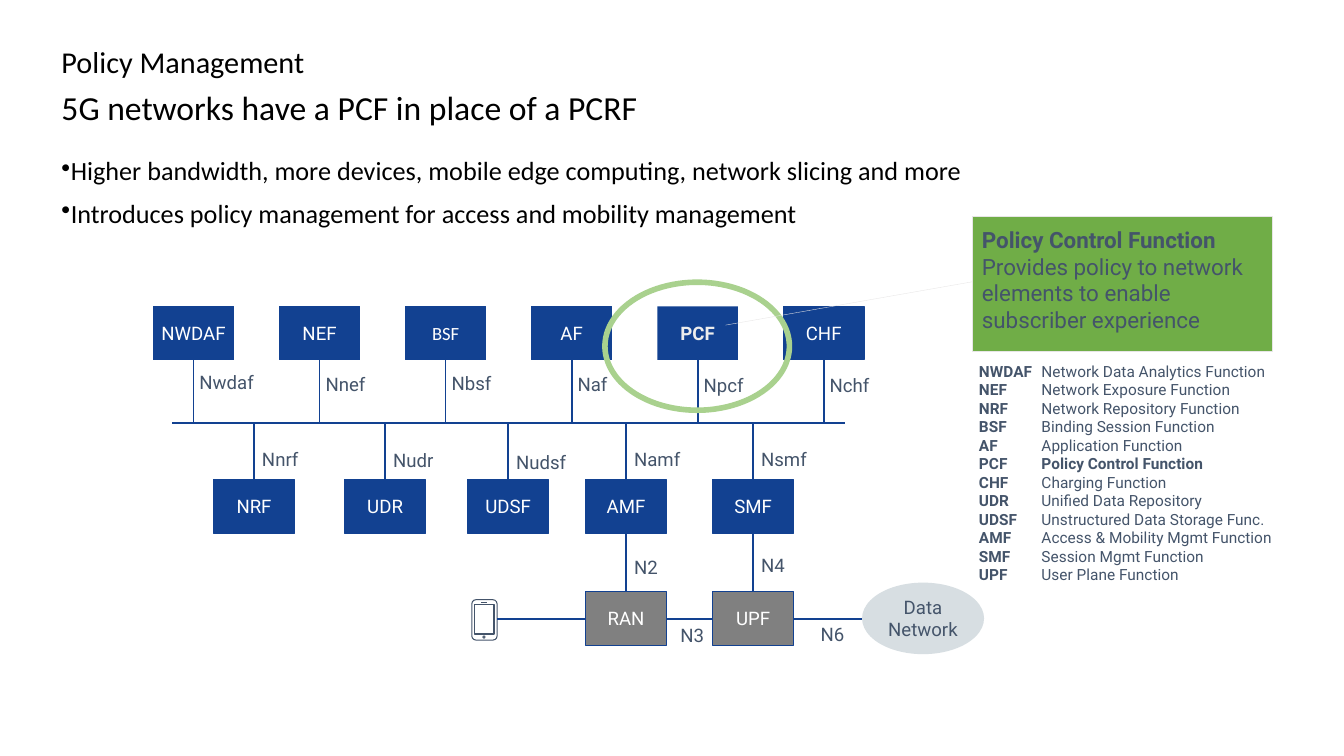
import pptx
import pptx.util
import pptx.dml.color
import pptx.enum.shapes
import pptx.enum.text
import pptx.oxml.ns
import lxml.etree
from dataclasses import dataclass

Inches = pptx.util.Inches
Pt = pptx.util.Pt
Shape = pptx.enum.shapes.MSO_SHAPE
Align = pptx.enum.text.PP_ALIGN
Anchor = pptx.enum.text.MSO_ANCHOR
qn = pptx.oxml.ns.qn


@dataclass(frozen=True)
class Theme:
    heading_font: str = "Calibri"
    diagram_font: str = "Roboto"
    black: str = "000000"
    white: str = "FFFFFF"
    slate: str = "44546A"
    navy: str = "124191"
    gray: str = "808080"
    cloud: str = "D7DEE2"
    green: str = "70AD47"
    ring: str = "A9D18E"
    pale: str = "E7E6E6"
    highlight: str = "EDEDED"
    title_size: float = 21.6
    subtitle_size: float = 24
    bullet_size: float = 18.7
    diagram_size: float = 13.3
    callout_size: float = 16
    legend_size: float = 11


class SlideBuilder:
    def __init__(self, page, theme):
        self.page = page
        self.theme = theme

    def color(self, value):
        return pptx.dml.color.RGBColor.from_string(value)

    def prepare(self, shape, insets=(0, 0, 0, 0), anchor=Anchor.TOP):
        frame = shape.text_frame
        frame.word_wrap = True
        frame.vertical_anchor = anchor
        (frame.margin_left, frame.margin_top,
         frame.margin_right, frame.margin_bottom) = map(Inches, insets)
        return frame

    def paragraph(self, frame, index, spans, size, color, font=None, align=Align.LEFT):
        """Write one paragraph from (text, bold) spans."""
        para = frame.paragraphs[0] if index == 0 else frame.add_paragraph()
        para.alignment = align
        for text, bold in spans:
            span = para.add_run()
            span.text = text
            span.font.name = font or self.theme.diagram_font
            span.font.size = Pt(size)
            span.font.bold = bold
            span.font.color.rgb = self.color(color)
        return para

    def text_box(self, place, insets=(0, 0, 0, 0), anchor=Anchor.TOP):
        box = self.page.shapes.add_textbox(*map(Inches, place))
        return self.prepare(box, insets, anchor)

    def shape(self, kind, place, fill=None, line=None, width=0.75):
        shape = self.page.shapes.add_shape(kind, *map(Inches, place))
        shape.shadow.inherit = False
        if fill:
            shape.fill.solid()
            shape.fill.fore_color.rgb = self.color(fill)
        else:
            shape.fill.background()
        if line:
            shape.line.color.rgb = self.color(line)
            shape.line.width = Pt(width)
        else:
            shape.line.fill.background()
        return shape

    def node(self, name, left, top, fill, line=True, color=None, bold=False, font=None):
        theme = self.theme
        box = self.shape(Shape.RECTANGLE, (left, top, NODE_WIDTH, NODE_HEIGHT),
                         fill, theme.navy if line else None)
        frame = self.prepare(box, anchor=Anchor.MIDDLE)
        self.paragraph(frame, 0, [(name, bold)], theme.diagram_size,
                       color or theme.white, font, Align.CENTER)

    def label(self, text, left, top):
        frame = self.text_box((left, top, 0.82, 0.23), (0.1,) * 4, Anchor.MIDDLE)
        self.paragraph(frame, 0, [(text, False)], self.theme.diagram_size, self.theme.slate)

    def line(self, start, end, color=None, width=1.25):
        line = self.page.shapes.add_connector(
            pptx.enum.shapes.MSO_CONNECTOR.STRAIGHT, *map(Inches, start + end))
        line.line.color.rgb = self.color(color or self.theme.navy)
        line.line.width = Pt(width)
        lxml.etree.SubElement(line._element.spPr, qn("a:effectLst"))
        return line


NODE_WIDTH, NODE_HEIGHT = 0.8, 0.53
TOP_ROW, BUS, LOWER_ROW, ACCESS_ROW = 3.04, 4.2, 4.76, 5.87
BULLETS = [
    "Higher bandwidth, more devices, mobile edge computing, network slicing and more",
    "Introduces policy management for access and mobility management",
]
# name, interface, interface label top
TOP_NODES = [
    ("NWDAF", "Nwdaf", 3.68), ("NEF", "Nnef", 3.7), ("BSF", "Nbsf", 3.69),
    ("AF", "Naf", 3.7), ("PCF", "Npcf", 3.71), ("CHF", "Nchf", 3.71),
]
# name, interface, left, label top
LOWER_NODES = [
    ("NRF", "Nnrf", 2.12, 4.44), ("UDR", "Nudr", 3.42, 4.45), ("UDSF", "Nudsf", 4.64, 4.47),
    ("AMF", "Namf", 5.81, 4.44), ("SMF", "Nsmf", 7.07, 4.44),
]
# name, interface, left, label top
ACCESS_NODES = [("RAN", "N2", 5.81, 5.51), ("UPF", "N4", 7.07, 5.49)]
LEGEND = [
    ("NWDAF", "Network Data Analytics Function"), ("NEF", "Network Exposure Function"),
    ("NRF", "Network Repository Function"), ("BSF", "Binding Session Function"),
    ("AF", "Application Function"), ("PCF", "Policy Control Function"),
    ("CHF", "Charging Function"), ("UDR", "Unified Data Repository"),
    ("UDSF", "Unstructured Data Storage Func."), ("AMF", "Access & Mobility Mgmt Function"),
    ("SMF", "Session Mgmt Function"), ("UPF", "User Plane Function"),
]


def add_headings(slide):
    theme = slide.theme
    frame = slide.text_box((0.61, 0.41, 12.12, 0.45), (0, 0.05, 0.1, 0.05), Anchor.MIDDLE)
    para = slide.paragraph(frame, 0, [("Policy Management", False)],
                           theme.title_size, theme.black, theme.heading_font)
    para.line_spacing = 0.9
    frame = slide.text_box((0.61, 0.86, 12.12, 0.45))
    slide.paragraph(frame, 0, [("5G networks have a PCF in place of a PCRF", False)],
                    theme.subtitle_size, theme.black, theme.heading_font)
    frame = slide.text_box((0.61, 1.57, 12.12, 5.19))
    for index, text in enumerate(BULLETS):
        para = slide.paragraph(frame, index, [(text, False)],
                               theme.bullet_size, theme.black, theme.heading_font)
        para.line_spacing = 0.9
        if index:
            para.space_before = Pt(10)
        props = para._p.get_or_add_pPr()
        props.set("marL", "0")
        props.set("indent", str(-Inches(0.25)))
        lxml.etree.SubElement(props, qn("a:buChar"), char="•")


def add_phone(slide):
    white, slate = slide.theme.white, slide.theme.slate
    body = slide.shape(Shape.ROUNDED_RECTANGLE, (4.68, 5.95, 0.25, 0.4), white, slate)
    body.adjustments[0] = 0.16
    speaker = slide.line((4.77, 5.98), (4.83, 5.98), slate, 0.75)
    screen = slide.shape(Shape.RECTANGLE, (4.71, 6, 0.19, 0.29), white, slate)
    button = slide.shape(Shape.OVAL, (4.79, 6.31, 0.02, 0.02), white, slate)
    slide.page.shapes.add_group_shape([body, speaker, screen, button])


def add_network(slide):
    theme = slide.theme
    half = NODE_WIDTH / 2

    # Service bus and the functions above it
    slide.line((1.71, BUS), (8.38, BUS))
    for index, (name, interface, label_top) in enumerate(TOP_NODES):
        left = 1.52 + 1.25 * index
        style = {}
        if name == "PCF":
            style = dict(line=False, color=theme.highlight, bold=True)
        elif name == "BSF":
            style = dict(font=theme.heading_font)
        slide.node(name, left, TOP_ROW, theme.navy, **style)
        slide.line((left + half, BUS), (left + half, TOP_ROW + NODE_HEIGHT))
        slide.label(interface, left + 0.36, label_top)

    # Functions below the bus
    for name, interface, left, label_top in LOWER_NODES:
        slide.node(name, left, LOWER_ROW, theme.navy)
        slide.line((left + half, LOWER_ROW), (left + half, BUS))
        slide.label(interface, left + 0.38, label_top)

    # Access and user plane
    for name, interface, left, label_top in ACCESS_NODES:
        slide.node(name, left, ACCESS_ROW, theme.gray)
        slide.line((left + half, ACCESS_ROW), (left + half, LOWER_ROW + NODE_HEIGHT))
        slide.label(interface, left + 0.38, label_top)
    for start, end in [(4.93, 5.81), (6.61, 7.07), (7.87, 8.55)]:
        slide.line((start, 6.14), (end, 6.14))
    slide.label("N3", 6.65, 6.19)
    slide.label("N6", 8.04, 6.18)

    # Data network
    cloud = slide.shape(Shape.OVAL, (8.55, 5.78, 1.21, 0.71), theme.cloud)
    caption = slide.shape(Shape.RECTANGLE, (8.63, 5.97, 1.05, 0.33), theme.cloud)
    frame = slide.prepare(caption, (0.1,) * 4, Anchor.MIDDLE)
    slide.paragraph(frame, 0, [("Data Network", False)], theme.diagram_size,
                    theme.slate, align=Align.CENTER)
    slide.page.shapes.add_group_shape([cloud, caption])


def add_callout(slide):
    theme = slide.theme
    slide.shape(Shape.OVAL, (6, 2.8, 1.83, 1.27), line=theme.ring, width=4)
    callout = slide.shape(Shape.LINE_CALLOUT_1, (9.64, 2.14, 2.98, 1.34),
                          theme.green, theme.pale, 0.25)
    for index, value in enumerate((0.49, 0, 0.81, -0.82)):
        callout.adjustments[index] = value
    frame = slide.prepare(callout, (0.1,) * 4)
    lines = [("Policy Control Function", True),
             ("Provides policy to network elements to enable subscriber experience", False)]
    for index, span in enumerate(lines):
        slide.paragraph(frame, index, [span], theme.callout_size, theme.slate)


def add_legend(slide):
    frame = slide.text_box((9.63, 3.51, 3.16, 2.38), (0.08,) * 4)
    for index, (name, meaning) in enumerate(LEGEND):
        spans = [(name + "\t", True), (meaning, name == "PCF")]
        para = slide.paragraph(frame, index, spans, slide.theme.legend_size, slide.theme.slate)
        tabs = lxml.etree.SubElement(para._p.get_or_add_pPr(), qn("a:tabLst"))
        lxml.etree.SubElement(tabs, qn("a:tab"), pos=str(Inches(0.62)), algn="l")


def main():
    deck = pptx.Presentation()
    deck.slide_width, deck.slide_height = Inches(13.33), Inches(7.5)
    slide = SlideBuilder(deck.slides.add_slide(deck.slide_layouts[6]), Theme())
    add_headings(slide)
    add_phone(slide)
    add_network(slide)
    add_callout(slide)
    add_legend(slide)
    deck.save("out.pptx")


if __name__ == "__main__":
    main()
